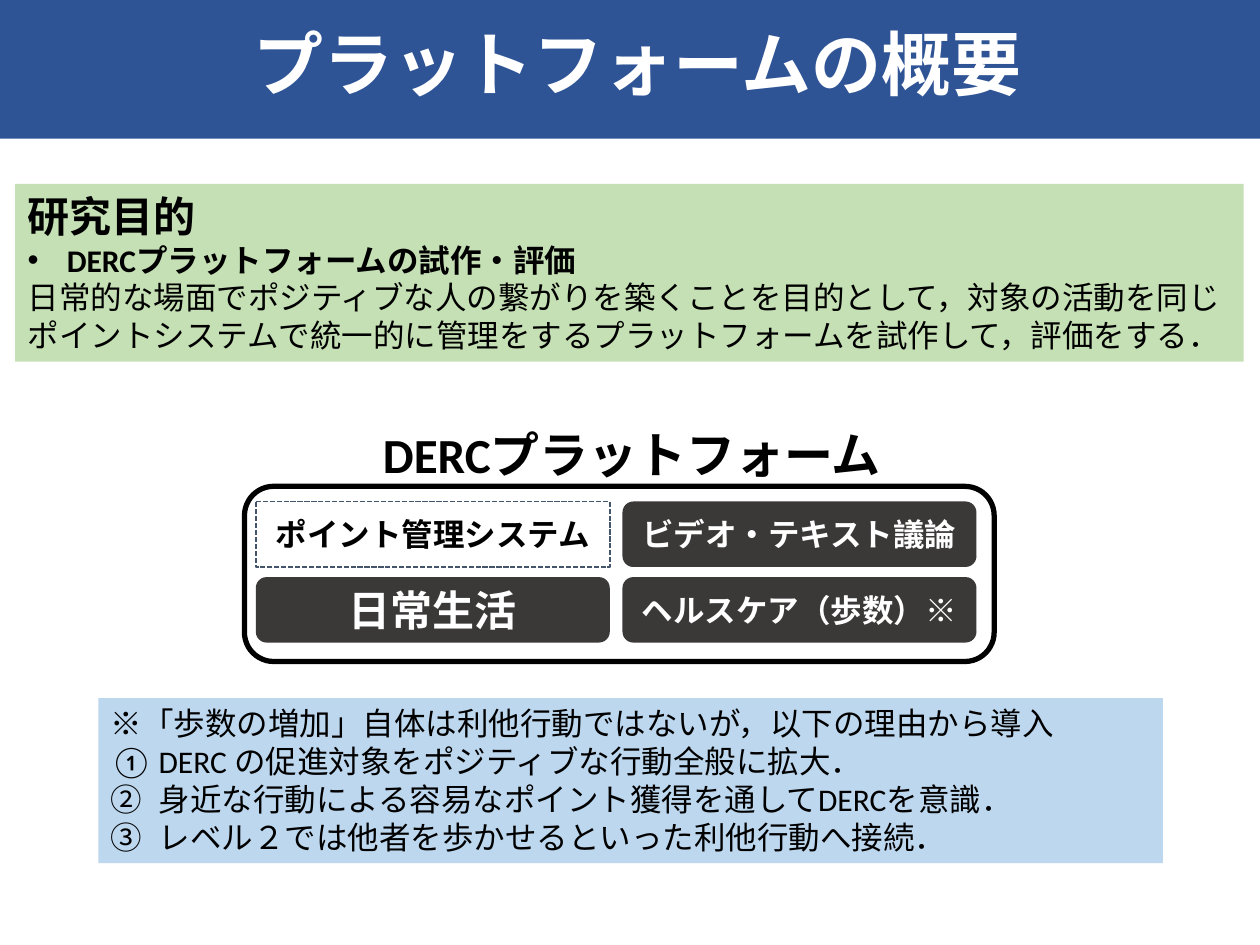
import dataclasses

import lxml.etree
import pptx
import pptx.dml.color
import pptx.enum.dml
import pptx.enum.shapes
import pptx.enum.text
import pptx.oxml.ns
import pptx.util

Inches = pptx.util.Inches
SHAPE = pptx.enum.shapes.MSO_SHAPE
ANCHOR = pptx.enum.text.MSO_ANCHOR
ALIGN = pptx.enum.text.PP_ALIGN


@dataclasses.dataclass(frozen=True)
class Theme:
    font: str = "Calibri"
    banner: str = "2F5496"
    purpose: str = "C5E0B4"
    note: str = "BDD7EE"
    module: str = "3B3838"
    dashed: str = "44546A"
    dark: str = "000000"
    light: str = "FFFFFF"
    title_size: int = 40
    diagram_size: int = 28
    heading_size: int = 24
    text_size: int = 18


@dataclasses.dataclass(frozen=True)
class Line:
    """One paragraph; marker is a bullet element name with its attributes."""
    text: str
    size: int
    bold: bool = False
    marker: tuple = ("buNone", {})
    indent: float = 0


class SlideBuilder:
    def __init__(self, slide, theme):
        self.slide = slide
        self.theme = theme

    def color(self, value):
        return pptx.dml.color.RGBColor.from_string(value)

    def place(self, shape, left, top, width, height):
        shape.left, shape.top = Inches(left), Inches(top)
        shape.width, shape.height = Inches(width), Inches(height)

    def paint(self, shape, fill=None, line=None, weight=1, dash=None):
        if fill:
            shape.fill.solid()
            shape.fill.fore_color.rgb = self.color(fill)
        else:
            shape.fill.background()
        if line:
            shape.line.color.rgb = self.color(line)
            shape.line.width = pptx.util.Pt(weight)
            shape.line.dash_style = dash
        else:
            shape.line.fill.background()

    def set_text(self, shape, lines, color, align=ALIGN.LEFT, anchor=ANCHOR.TOP):
        frame = shape.text_frame
        frame.word_wrap = True
        frame.auto_size = pptx.enum.text.MSO_AUTO_SIZE.NONE
        frame.vertical_anchor = anchor
        for index, line in enumerate(lines):
            para = frame.add_paragraph() if index else frame.paragraphs[0]
            para.text = line.text
            para.alignment = align
            para.space_before = pptx.util.Pt(0)
            properties = para._p.get_or_add_pPr()
            properties.set("marL", str(Inches(line.indent)))
            properties.set("indent", str(-Inches(line.indent)))
            name, attributes = line.marker
            lxml.etree.SubElement(properties, pptx.oxml.ns.qn("a:" + name), attributes)
            para.font.name = self.theme.font
            para.font.size = pptx.util.Pt(line.size)
            para.font.bold = line.bold
            para.font.color.rgb = self.color(color)

    def title(self, text, *area):
        shape = self.slide.shapes.title
        self.place(shape, *area)
        self.paint(shape, self.theme.banner)
        self.set_text(shape, [Line(text, self.theme.title_size, True)],
                      self.theme.light, ALIGN.CENTER, ANCHOR.MIDDLE)

    def body(self, lines, fill, *area):
        shape = self.slide.placeholders[1]
        self.place(shape, *area)
        self.paint(shape, fill)
        self.set_text(shape, lines, self.theme.dark)

    def panel(self, lines, fill, *area):
        shape = self.shape(self.slide.shapes, SHAPE.RECTANGLE, *area)
        self.paint(shape, fill)
        self.set_text(shape, lines, self.theme.dark)

    def shape(self, parent, kind, *area):
        shape = parent.add_shape(kind, *map(Inches, area))
        shape.shadow.inherit = False
        return shape

    def label(self, parent, line, *area):
        box = parent.add_textbox(*map(Inches, area))
        self.set_text(box, [line], self.theme.dark, ALIGN.CENTER)

    def frame(self, parent, *area):
        shape = self.shape(parent, SHAPE.ROUNDED_RECTANGLE, *area)
        self.paint(shape, line=self.theme.dark, weight=3)

    def module(self, parent, text, size, dashed, *area):
        shape = self.shape(parent, SHAPE.ROUNDED_RECTANGLE, *area)
        if dashed:
            shape.adjustments[0] = 0
            self.paint(shape, line=self.theme.dashed,
                       dash=pptx.enum.dml.MSO_LINE.SQUARE_DOT)
        else:
            self.paint(shape, self.theme.module)
        color = self.theme.dark if dashed else self.theme.light
        self.set_text(shape, [Line(text, size, True)], color, ALIGN.CENTER, ANCHOR.MIDDLE)


def main():
    theme = Theme()
    deck = pptx.Presentation()
    deck.slide_width, deck.slide_height = Inches(10), Inches(7.5)
    page = SlideBuilder(deck.slides.add_slide(deck.slide_layouts[1]), theme)

    # Title banner
    page.title("プラットフォームの概要", -0.45, -0.11, 11.02, 1.21)

    # Research purpose
    page.body([
        Line("研究目的", theme.heading_size, True),
        Line("DERCプラットフォームの試作・評価", theme.text_size, True,
             ("buChar", {"char": "•"}), 0.31),
        Line("日常的な場面でポジティブな人の繋がりを築くことを目的として，対象の活動を同じ"
             "ポイントシステムで統一的に管理をするプラットフォームを試作して，評価をする．",
             theme.text_size),
    ], theme.purpose, 0.12, 1.46, 9.75, 1.41)

    # Note with numbered reasons
    reasons = [
        "DERC の促進対象をポジティブな行動全般に拡大．",
        "身近な行動による容易なポイント獲得を通してDERCを意識．",
        "レベル２では他者を歩かせるといった利他行動へ接続．",
    ]
    numbered = ("buAutoNum", {"type": "circleNumDbPlain"})
    page.panel(
        [Line("※「歩数の増加」自体は利他行動ではないが，以下の理由から導入", theme.text_size)]
        + [Line(text, theme.text_size, False, numbered, 0.38) for text in reasons],
        theme.note, 0.78, 5.54, 8.45, 1.31)

    # Platform diagram: a frame around a two by two grid of modules
    diagram = page.slide.shapes.add_group_shape().shapes
    page.frame(diagram, 1.94, 3.86, 5.95, 1.39)
    page.label(diagram, Line("DERCプラットフォーム", theme.diagram_size, True),
               2.18, 3.32, 5.67, 0.57)
    modules = [
        ("ポイント管理システム", theme.text_size, True),
        ("ビデオ・テキスト議論", theme.text_size, False),
        ("日常生活", theme.heading_size, False),
        ("ヘルスケア（歩数）※", theme.text_size, False),
    ]
    for index, (text, size, dashed) in enumerate(modules):
        row, column = divmod(index, 2)
        page.module(diagram, text, size, dashed,
                    2.03 + 2.91 * column, 3.98 + 0.6 * row, 2.81, 0.52)

    deck.save("out.pptx")


if __name__ == "__main__":
    main()
